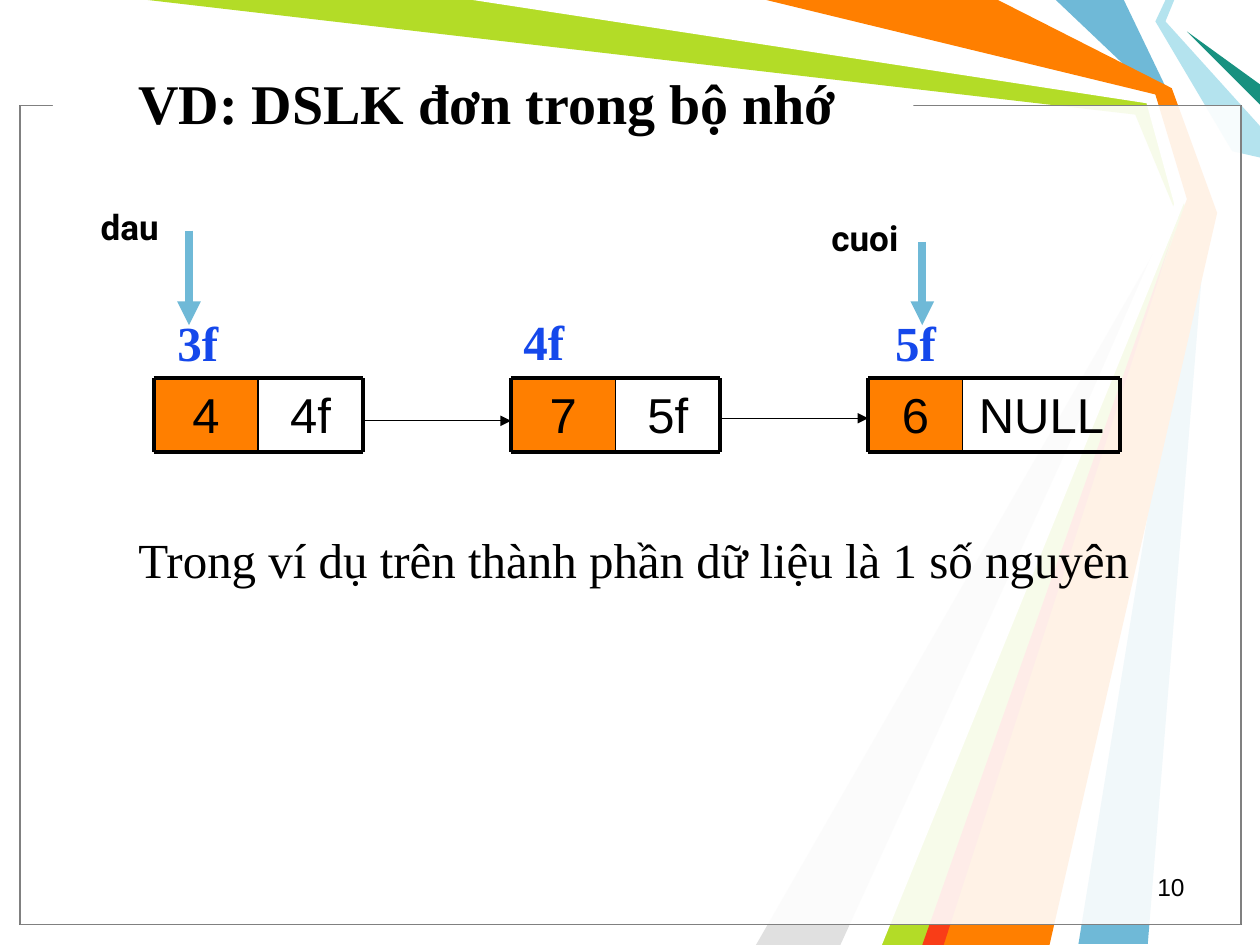
from lxml.etree import SubElement
from pptx import Presentation
from pptx.dml.color import RGBColor
from pptx.enum.shapes import MSO_CONNECTOR as Link, MSO_SHAPE as Preset
from pptx.enum.text import MSO_ANCHOR as Anchor, PP_ALIGN as Align
from pptx.oxml.ns import qn
from pptx.util import Inches, Pt

COLORS = {
    "black": "000000", "white": "FFFFFF", "gray": "808080", "silver": "E0E0E0",
    "sky": "6FB9D7", "pale": "B4E3EE", "lime": "B3DC27", "teal": "189180",
    "orange": "FF7F00", "red": "F93D17", "address": "1548EB",
}
SERIF, SANS, LABEL = "Times New Roman", "Arial", "Roboto"

# Decorative ribbons, back to front: colour and corners in inches
RIBBONS = [
    ("sky", [(8.92, 0), (9.29, .77), (9.58, 1.67), (9.11, 7.49), (8.56, 7.49),
             (9.5, 1.67), (9.17, .75), (8.38, 0)]),
    ("lime", [(1.17, 0), (3.83, 0), (9.14, .78), (9.42, 1.69), (7.42, 7.5),
              (6.92, 7.5), (9.35, 1.73), (9.01, .91)]),
    ("silver", [(6.67, 7.5), (9.27, 1.81), (6, 7.5)]),
    ("white", [(3.75, 0), (9.1, .82), (9.32, 1.62), (6.75, 7.5), (7, 7.5),
               (9.41, 1.58), (9.17, .75), (6, 0)]),
    ("pale", [(9.25, 0), (9.17, .17), (9.78, 1.2), (10, 1.25), (10, 1),
              (9.25, .17), (9.32, 0)]),
    ("teal", [(10, .83), (9.42, .25), (10, .67)]),
    ("orange", [(6.08, 0), (7.92, 0), (9.3, .7), (9.66, 1.69), (8.33, 7.5),
                (7.33, 7.5), (9.42, 1.58), (9.17, .75)]),
    ("red", [(7.32, 7.5), (9.32, 1.83), (7.49, 7.5)]),
]
FRAME = (.16, .84, 9.69, 6.5)
TITLE_GAP = (.42, .74, 6.83, .17)

TITLE = "VD: DSLK đơn trong bộ nhớ"
NOTE = "Trong ví dụ trên thành phần dữ liệu là 1 số nguyên"
PAGE_NUMBER = "10"

# Address, its left offset, top and alignment; value and next with cell widths
NODES = [
    {"address": ("3f", .09, 2.43, Align.LEFT), "value": ("4", .83), "next": ("4f", .83)},
    {"address": ("4f", 0, 2.42, Align.LEFT), "value": ("7", .83), "next": ("5f", .83)},
    {"address": ("5f", 0, 2.43, Align.CENTER), "value": ("6", .75), "next": ("NULL", 1.25)},
]
FIRST_NODE, NODE_PITCH = 1.22, 2.835
NODE_TOP, NODE_HEIGHT = 3, .59
LINK_ROWS = [3.34, 3.32]

# Name, label left and top, arrow column and arrow top
POINTERS = [("dau", .7, 1.58, 1.5, 1.83), ("cuoi", 6.5, 1.67, 7.32, 1.92)]
POINTER_TIP = 2.58


def color(name):
    return RGBColor.from_string(COLORS[name])


def add_ribbon(page, fill, corners):
    points = [(Inches(x), Inches(y)) for x, y in corners]
    builder = page.shapes.build_freeform(*points[0])
    builder.add_line_segments(points[1:], close=True)
    ribbon = builder.convert_to_shape()
    ribbon.shadow.inherit = False
    ribbon.fill.solid()
    ribbon.fill.fore_color.rgb = color(fill)
    ribbon.line.fill.background()


def add_rectangle(page, area, fill, line=None, opacity=None):
    box = page.shapes.add_shape(Preset.RECTANGLE, *map(Inches, area))
    box.shadow.inherit = False
    box.fill.solid()
    box.fill.fore_color.rgb = color(fill)
    if opacity:
        tint = box.fill._xPr.find(qn("a:solidFill"))[0]
        SubElement(tint, qn("a:alpha"), val=str(opacity * 1000))
    if line:
        box.line.color.rgb = color(line)
        box.line.width = Pt(.75)
    else:
        box.line.fill.background()
    return box


def write(box, text, size, font, ink="black", bold=False, align=Align.LEFT, anchor=Anchor.TOP):
    frame = box.text_frame
    frame.word_wrap = True
    frame.vertical_anchor = anchor
    para = frame.paragraphs[0]
    para.alignment = align
    span = para.add_run()
    span.text = text
    span.font.size, span.font.name, span.font.bold = Pt(size), font, bold
    span.font.color.rgb = color(ink)


def add_text(page, area, *content, **style):
    write(page.shapes.add_textbox(*map(Inches, area)), *content, **style)


def add_line(page, start, end, width, ink="black", arrow=False):
    line = page.shapes.add_connector(Link.STRAIGHT, *map(Inches, start + end))
    line.line.color.rgb = color(ink)
    line.line.width = Pt(width)
    if arrow:
        SubElement(line.line._get_or_add_ln(), qn("a:tailEnd"), type="triangle")
    SubElement(line._element.spPr, qn("a:effectLst"))


def add_node(page, left, node):
    """Draw one list node and return its right edge."""
    (value, value_width), (following, next_width) = node["value"], node["next"]
    middle, right = left + value_width, left + value_width + next_width
    bottom = NODE_TOP + NODE_HEIGHT
    add_text(page, (middle, NODE_TOP, next_width, NODE_HEIGHT), following, 28, SANS,
             align=Align.CENTER)
    cell = add_rectangle(page, (left, NODE_TOP, value_width, NODE_HEIGHT), "orange")
    write(cell, value, 28, SANS, align=Align.CENTER)
    for y in (NODE_TOP, bottom):
        add_line(page, (left, y), (right, y), 2.25)
    for x, width in ((left, 2.25), (middle, 1), (right, 2.25)):
        add_line(page, (x, NODE_TOP), (x, bottom), width)
    address, shift, top, align = node["address"]
    add_text(page, (left + shift, top, .75, .57), address, 28, SERIF,
             ink="address", bold=True, align=align)
    return right


def main():
    deck = Presentation()
    deck.slide_width, deck.slide_height = Inches(10), Inches(7.5)
    page = deck.slides.add_slide(deck.slide_layouts[6])

    for fill, corners in RIBBONS:
        add_ribbon(page, fill, corners)
    for line in ("black", "gray"):
        add_rectangle(page, FRAME, "white", line, opacity=69)
    add_rectangle(page, TITLE_GAP, "white")
    add_text(page, (1, .42, 6.89, .78), TITLE, 32, SERIF, bold=True, anchor=Anchor.MIDDLE)
    add_text(page, (7.17, 6.87, 2.33, .33), PAGE_NUMBER, 14, SANS, align=Align.RIGHT)

    lefts = [FIRST_NODE + NODE_PITCH * i for i in range(len(NODES))]
    rights = [add_node(page, left, node) for left, node in zip(lefts, NODES)]
    for start, end, y in zip(rights, lefts[1:], LINK_ROWS):
        add_line(page, (start, y), (end, y), .75, arrow=True)
    for name, left, top, column, arrow_top in POINTERS:
        add_text(page, (left, top, 1.17, .43), name, 20, LABEL, bold=True)
        add_line(page, (column, arrow_top), (column, POINTER_TIP), 4.5, "sky", arrow=True)
    add_text(page, (1, 4.15, 8.2, .57), NOTE, 28, SERIF)

    deck.save("out.pptx")


if __name__ == "__main__":
    main()
